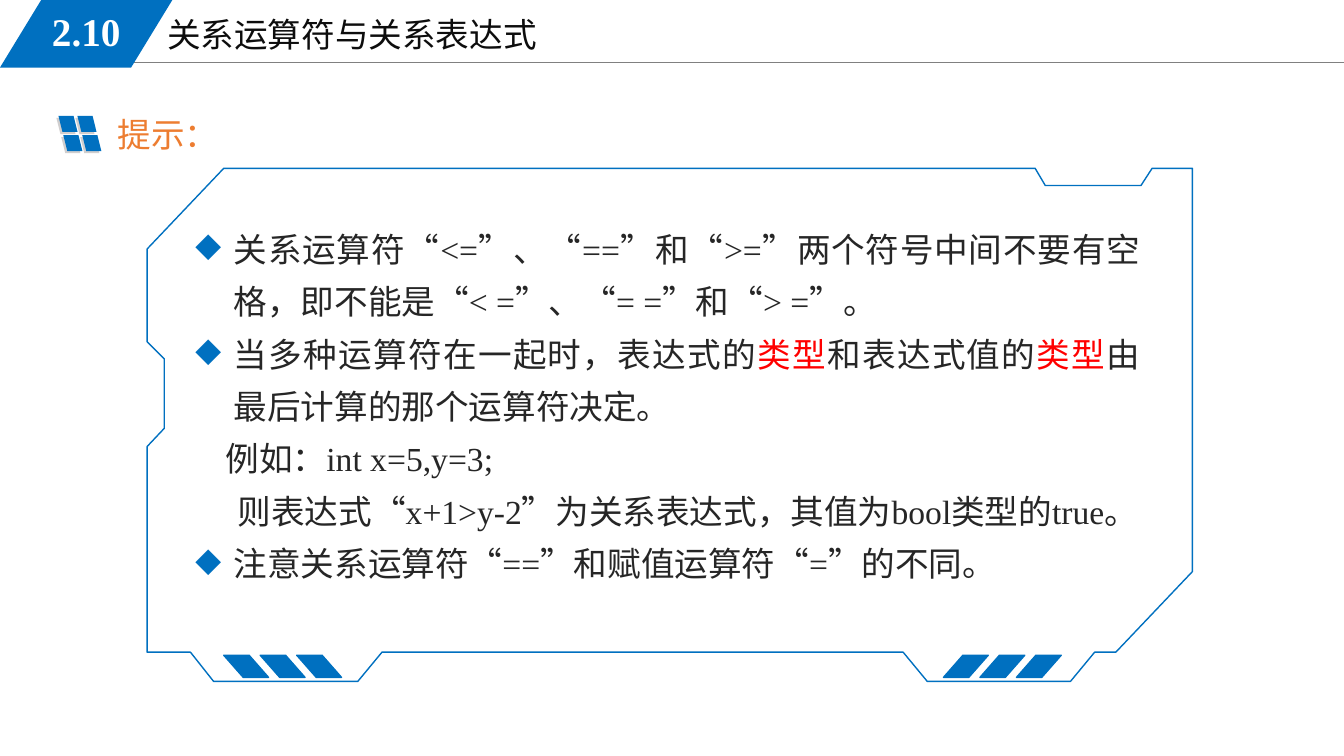
from collections import namedtuple

from lxml import etree
from pptx import Presentation, util as u
from pptx.dml.color import RGBColor
from pptx.enum import shapes, text
from pptx.oxml import ns

BLUE = RGBColor(0x00, 0x70, 0xC0)
GREY = RGBColor(0x80, 0x80, 0x80)
SHADE = RGBColor(0xD0, 0xCE, 0xCE)
ORANGE = RGBColor(0xED, 0x7D, 0x31)
RED = RGBColor(0xFF, 0x00, 0x00)
INK = RGBColor(0x26, 0x26, 0x26)
BLACK = RGBColor(0x0D, 0x0D, 0x0D)
WHITE = RGBColor(0xFF, 0xFF, 0xFF)
LATIN, HAN = "Times New Roman", "Noto Sans CJK SC"

# Boxes are given in columns and rows of a square grid, ten cells to the inch.
COLUMNS, ROWS = 133.33, 75
Box = namedtuple("Box", "left top width height")


def cells(count):
    return u.Inches(count / 10)


def within(box, left, top, width, height):
    """Return a box whose corner is counted from the corner of another."""
    return Box(box.left + left, box.top + top, width, height)


def add_element(parent, tag, **attributes):
    return etree.SubElement(parent, ns.qn(tag), attributes)


def add_span(para, words, font=HAN, size=24, color=INK, bold=False):
    span = para.add_run()
    span.text = words
    span.font.name, span.font.size, span.font.bold = font, u.Pt(size), bold
    span.font.color.rgb = color
    add_element(span.font._element, "a:ea", typeface=HAN)


def add_box(page, box):
    frame = page.shapes.add_textbox(*map(cells, box)).text_frame
    frame.word_wrap = True
    frame.auto_size = text.MSO_AUTO_SIZE.SHAPE_TO_FIT_TEXT
    return frame


def add_label(page, box, words, align=None, anchor=None, **style):
    frame = add_box(page, box)
    frame.vertical_anchor = anchor
    para = frame.paragraphs[0]
    para.alignment = align
    add_span(para, words, **style)


def add_slant(page, box, color, adjust=0.25, flip=False, outlined=False):
    slant = page.shapes.add_shape(
        shapes.MSO_SHAPE.PARALLELOGRAM, *map(cells, box))
    slant.shadow.inherit = False
    slant.adjustments[0] = adjust
    slant.fill.solid()
    slant.fill.fore_color.rgb = color
    if outlined:
        slant.line.color.rgb = color
        slant.line.width = u.Pt(1)
    else:
        slant.line.fill.background()
    if flip:
        slant._element.spPr.xfrm.set("flipH", "1")


def add_header(page, box, number, title):
    rule = page.shapes.add_connector(
        shapes.MSO_CONNECTOR.STRAIGHT, cells(box.left + 11.3),
        cells(box.top + 6.2), cells(box.left + box.width),
        cells(box.top + 6.2))
    rule.line.color.rgb = GREY
    rule.line.width = u.Pt(0.75)
    add_element(rule._element.spPr, "a:effectLst")
    add_label(page, within(box, 15.6, 0.9, 56.7, 5.1), title,
              font=LATIN, color=BLACK)
    add_slant(page, within(box, 0, 0, 17.1, box.height), BLUE, adjust=0.61)
    add_label(page, within(box, 2.5, 0.2, 12.1, 5.8), number,
              align=text.PP_ALIGN.CENTER, anchor=text.MSO_ANCHOR.MIDDLE,
              font=LATIN, size=28, color=WHITE, bold=True)


def add_hint(page, box, words):
    """Four slanted tiles with grey shades behind them, then the heading."""
    for color, left, top in ((SHADE, 0, 0.2), (BLUE, 0.2, 0)):
        for row in range(2):
            for column in range(2):
                tile = within(box, left + 1.88 * column + 0.48 * row,
                              top + 1.9 * row, 1.9, 1.6)
                add_slant(page, tile, color, flip=True)
    add_label(page, within(box, 5.1, -0.7, 16.5, 5), words, color=ORANGE)


def add_frame(page, box):
    corners = [
        (77.4, 50.9), (91.6, 50.9), (94, 48), (96.1, 48), (103.7, 40),
        (103.7, 0), (99.7, 0), (98.6, 1.7), (89.1, 1.7), (88.1, 0),
        (7.6, 0), (0, 8), (0, 17.2), (1.7, 18.9), (1.7, 25.8), (0, 27.6),
        (0, 48), (4.3, 48), (6.6, 50.9), (20.9, 50.9), (23.3, 48), (75, 48)]
    points = [(cells(box.left + x), cells(box.top + y)) for x, y in corners]
    builder = page.shapes.build_freeform(*points[0])
    builder.add_line_segments(points[1:], close=True)
    outline = builder.convert_to_shape()
    outline.shadow.inherit = False
    outline.fill.background()
    outline.line.color.rgb = BLUE
    outline.line.width = u.Pt(1)
    for start, flip in ((7.6, True), (79, False)):
        for index in range(3):
            add_slant(page, within(box, start + 3.62 * index, 48.3, 4.45, 2.2),
                      BLUE, adjust=0.88, flip=flip, outlined=True)


def add_notes(page, box, notes):
    """Each note is a first-line indent, or None for a bullet, and its spans."""
    frame = add_box(page, box)
    for index, (indent, spans) in enumerate(notes):
        para = frame.add_paragraph() if index else frame.paragraphs[0]
        layout = para._p.get_or_add_pPr()
        if indent is None:
            layout.set("marL", str(cells(3.8)))
            layout.set("indent", str(-cells(3.8)))
            tint = add_element(layout, "a:buClr")
            add_element(tint, "a:srgbClr", val=str(BLUE))
            add_element(layout, "a:buChar", char="◆")
        else:
            layout.set("indent", str(cells(indent)))
        para.alignment = text.PP_ALIGN.JUSTIFY
        para.line_spacing = 1.3
        for words, style in spans:
            add_span(para, words, **style)


HAN_TEXT, CODE, ALERT = {}, {"font": LATIN}, {"color": RED}
NOTES = [
    (None, [("关系运算符", HAN_TEXT), ("“<=”、“==”", CODE),
            ("和“", HAN_TEXT), (">=”", CODE),
            ("两个符号中间不要有空格，即不能是“", HAN_TEXT),
            ("< =”、“= =”", CODE), ("和“", HAN_TEXT), ("> =”。", CODE)]),
    (None, [("当多种运算符在一起时，表达式的", HAN_TEXT), ("类型", ALERT),
            ("和表达式值的", HAN_TEXT), ("类型", ALERT),
            ("由最后计算的那个运算符决定。", HAN_TEXT)]),
    (3, [("例如：", HAN_TEXT), ("int x=5,y=3;", CODE)]),
    (4.2, [("则表达式“", HAN_TEXT), ("x+1>y-2", CODE),
           ("”为关系表达式，其值为", HAN_TEXT), ("bool", CODE),
           ("类型的", HAN_TEXT), ("true", CODE), ("。", HAN_TEXT)]),
    (None, [("注意关系运算符“", HAN_TEXT), ("==", CODE),
            ("”和赋值运算符“", HAN_TEXT), ("=", CODE),
            ("”的不同。", HAN_TEXT)]),
]


def main():
    deck = Presentation()
    deck.slide_width, deck.slide_height = cells(COLUMNS), cells(ROWS)
    page = deck.slides.add_slide(deck.slide_layouts[6])
    add_header(page, Box(0, 0, COLUMNS, 6.7), "2.10", "关系运算符与关系表达式")
    add_notes(page, Box(18.4, 21, 95.7, 37.8), NOTES)
    add_hint(page, Box(5.6, 11.5, 21.6, 3.7), "提示：")
    add_frame(page, Box(14.6, 16.7, 103.7, 50.9))
    deck.save("out.pptx")


if __name__ == "__main__":
    main()
